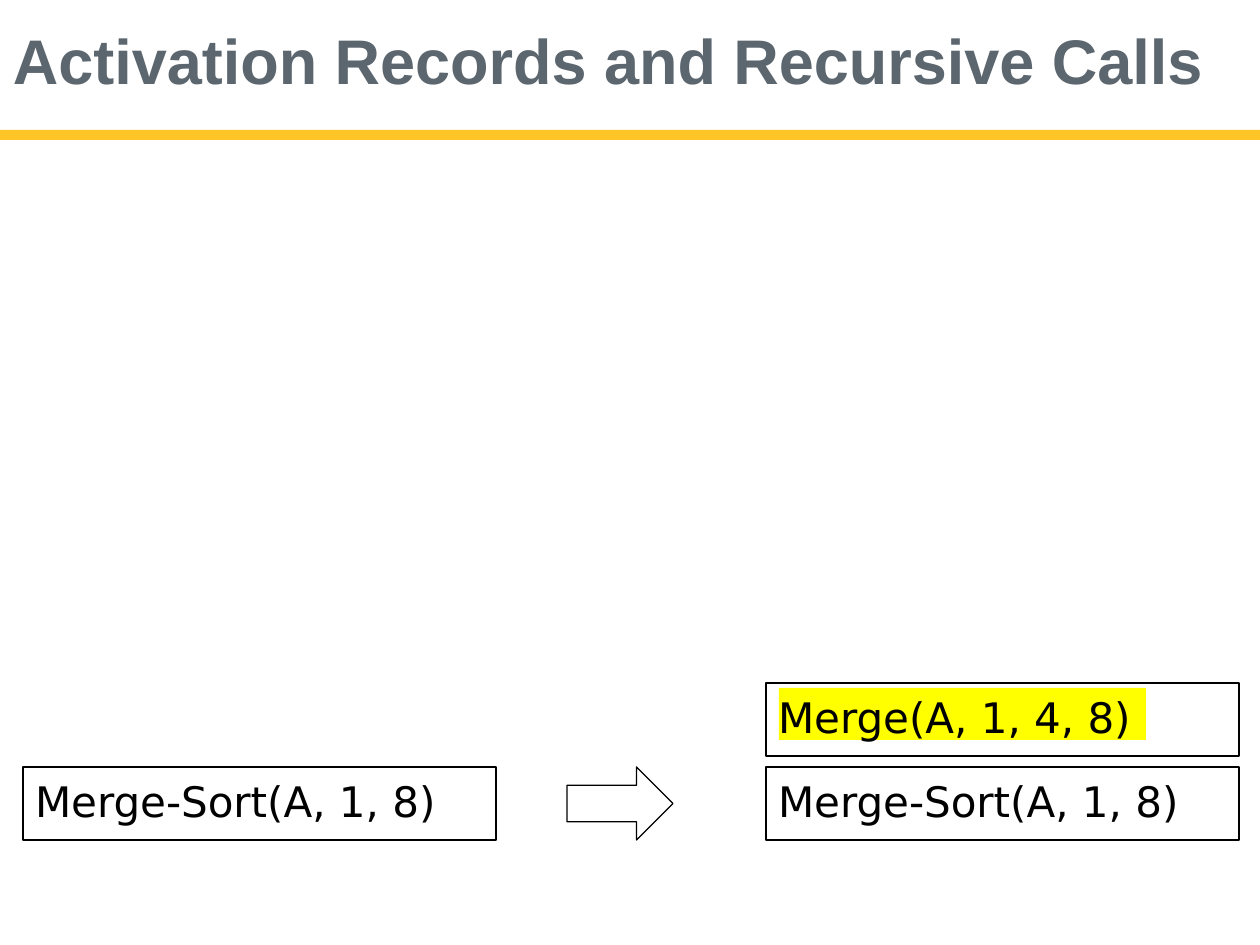
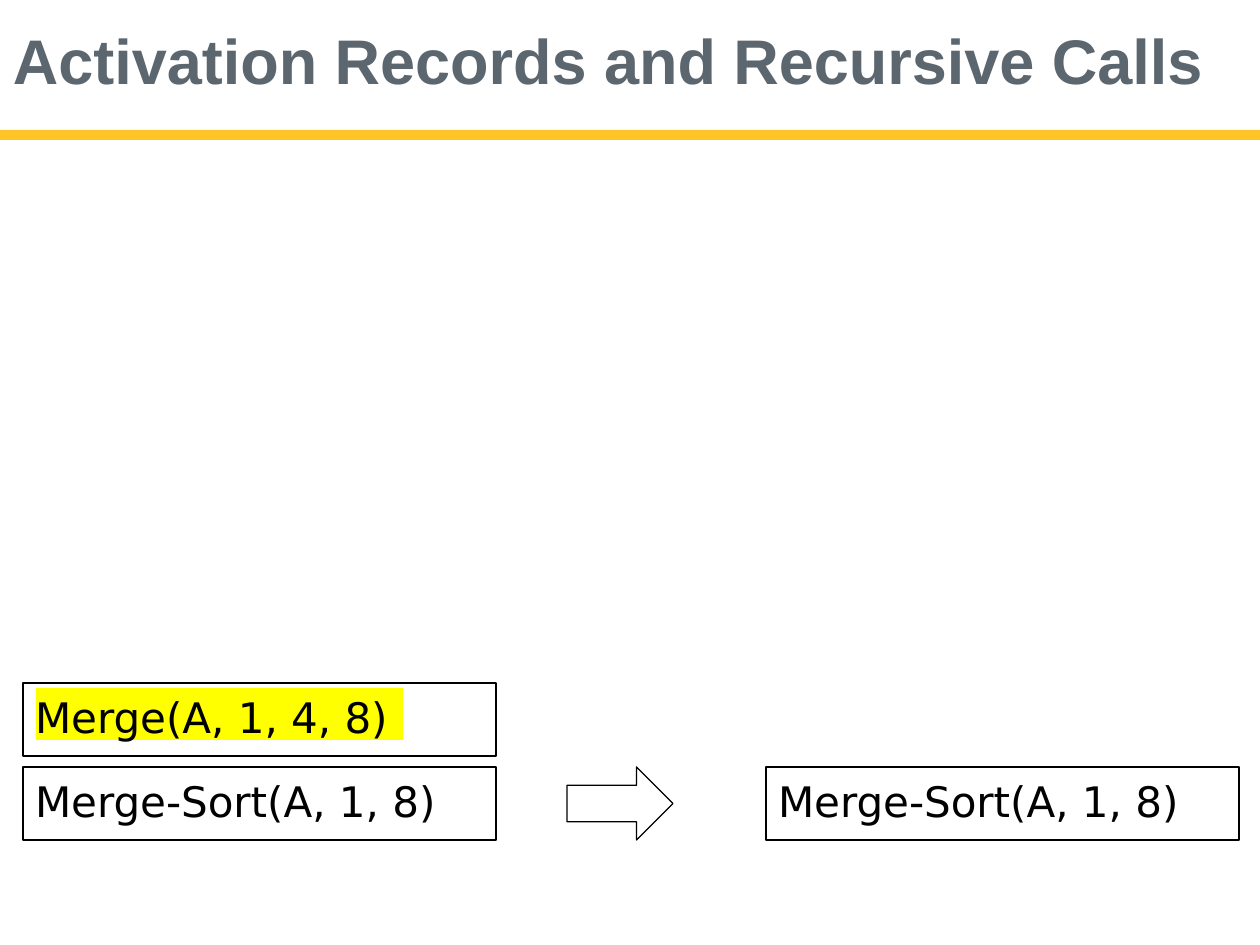
from pptx import Presentation
from pptx import util as u
from pptx.dml.color import RGBColor
from pptx.enum import shapes, text

PX_PER_INCH = 126
COLORS = {"title": "5C666F", "band": "FFC527", "ink": "000000", "highlight": "FFFF00"}

# Grid of the two call stacks, in px
STACK_LEFTS = {"before": 23, "after": 766}
RECORD_W, RECORD_H = 473, 73
BOTTOM_RECORD_TOP, RECORD_STEP = 767, 84

MERGE_SORT, MERGE = "Merge-Sort(A, 1, 8)", "Merge(A, 1, 4, 8)"
STEPS = [
    {"before": [MERGE_SORT], "after": [MERGE_SORT, MERGE]},
    {"before": [MERGE_SORT, MERGE], "after": [MERGE_SORT]},
]


def px(n):
    return u.Emu(round(n * u.Inches(1) / PX_PER_INCH))


class Deck:
    def __init__(self, width, height):
        self.prs = Presentation()
        self.prs.slide_width, self.prs.slide_height = px(width), px(height)
        self.width = width
        self.slide = None

    def new_slide(self, title):
        self.slide = self.prs.slides.add_slide(self.prs.slide_layouts[6])
        self.shape(0, 130, self.width, 10, fill="band")
        heading = self.slide.shapes.add_textbox(px(12), px(19), px(1220), px(80))
        self.set_text(heading, title, "Arial", 36, "title", bold=True, inset=(1, 3))

    def shape(self, x, y, w, h, kind=shapes.MSO_SHAPE.RECTANGLE, fill=None, line=None):
        item = self.slide.shapes.add_shape(kind, px(x), px(y), px(w), px(h))
        item.shadow.inherit = False
        if fill:
            item.fill.solid()
            item.fill.fore_color.rgb = RGBColor.from_string(COLORS[fill])
        else:
            item.fill.background()
        if line:
            item.line.color.rgb = RGBColor.from_string(COLORS[line])
            item.line.width = u.Pt(0.75)
        else:
            item.line.fill.background()
        return item

    def set_text(self, item, words, font, size, color, bold=False, inset=(0, 0)):
        frame = item.text_frame
        frame.word_wrap = True
        frame.vertical_anchor = text.MSO_ANCHOR.TOP
        frame.margin_left, frame.margin_top = px(inset[0]), px(inset[1])
        frame.margin_right = frame.margin_bottom = 0
        paragraph = frame.paragraphs[0]
        paragraph.text = words
        paragraph.alignment = text.PP_ALIGN.LEFT
        paragraph.font.name, paragraph.font.size = font, u.Pt(size)
        paragraph.font.bold = bold
        paragraph.font.color.rgb = RGBColor.from_string(COLORS[color])

    def record(self, x, y, call, highlighted):
        # The highlight lies behind the unfilled frame that carries the text
        if highlighted:
            self.shape(x + 13, y + 5, 367, 52, fill="highlight")
        frame = self.shape(x, y, RECORD_W, RECORD_H, line="ink")
        self.set_text(frame, call, "DejaVu Sans", 24, "ink", inset=(12, 9))

    def stack(self, x, calls):
        for level, call in enumerate(calls):
            y = BOTTOM_RECORD_TOP - level * RECORD_STEP
            self.record(x, y, call, highlighted=call == MERGE)

    def arrow(self):
        self.shape(567, BOTTOM_RECORD_TOP, 106, RECORD_H,
                   shapes.MSO_SHAPE.RIGHT_ARROW, line="ink")


def main():
    deck = Deck(1260, 945)
    for step in STEPS:
        deck.new_slide("Activation Records and Recursive Calls")
        for side, left in STACK_LEFTS.items():
            deck.stack(left, step[side])
        deck.arrow()
    deck.prs.save("out.pptx")


if __name__ == "__main__":
    main()
